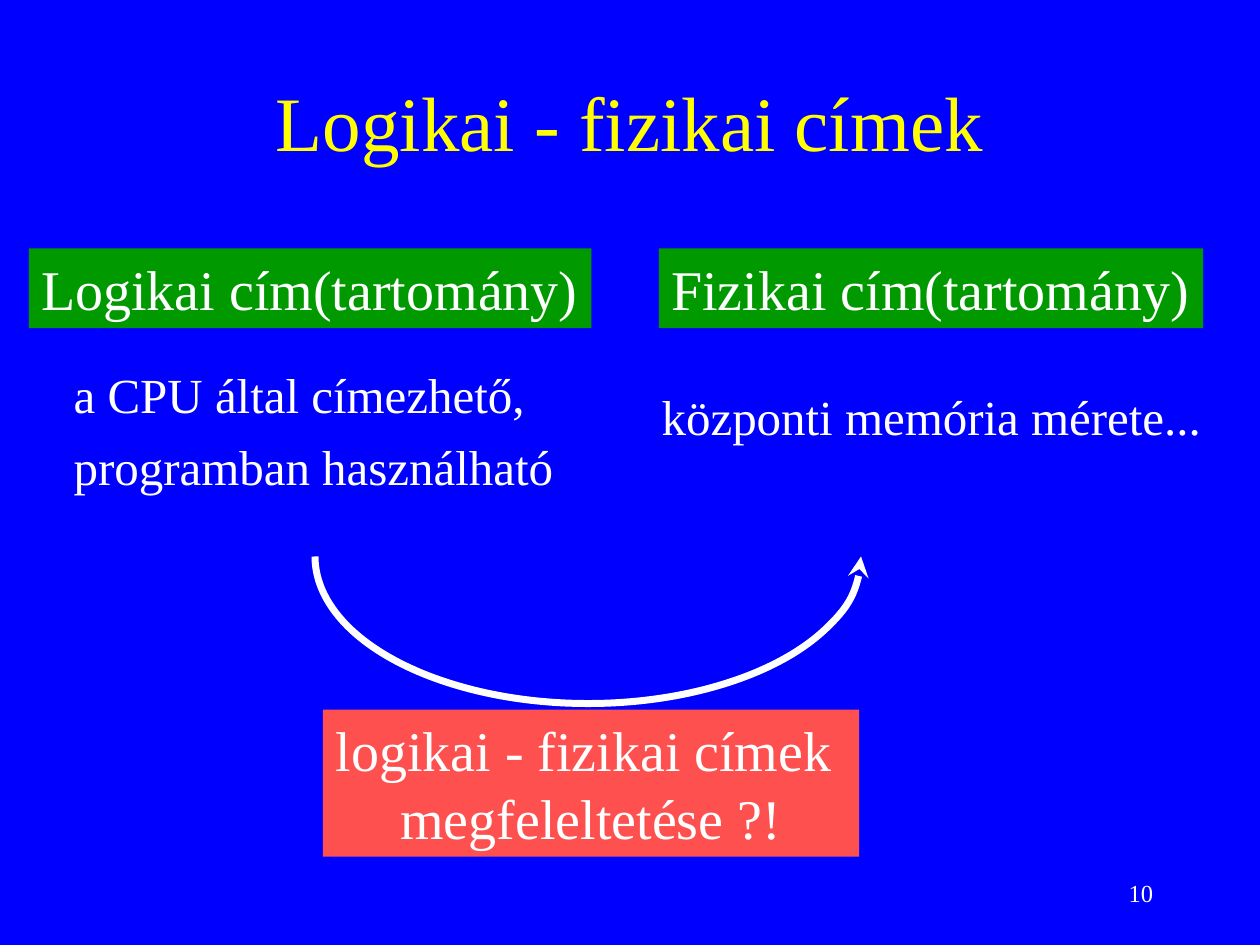
from dataclasses import dataclass

from lxml.etree import SubElement
from pptx import Presentation
from pptx.dml.color import RGBColor
from pptx.enum.shapes import MSO_SHAPE
from pptx.enum.text import MSO_ANCHOR, PP_ALIGN
from pptx.oxml.ns import qn
from pptx.util import Pt


@dataclass(frozen=True)
class Theme:
    font: str = "Times New Roman"
    background: RGBColor = RGBColor(0x00, 0x00, 0xFF)
    title: RGBColor = RGBColor(0xFF, 0xFF, 0x00)
    text: RGBColor = RGBColor(0xFF, 0xFF, 0xFF)
    heading_fill: RGBColor = RGBColor(0x00, 0x99, 0x00)
    question_fill: RGBColor = RGBColor(0xFF, 0x50, 0x50)
    title_size: int = 44
    heading_size: int = 32
    body_size: int = 28
    number_size: int = 14


theme = Theme()


def write_text(box, text, size, color=theme.text, align=PP_ALIGN.LEFT,
               anchor=MSO_ANCHOR.TOP, gap=0, wrap=False):
    """Fill a box with one paragraph per line; gap is the space between them."""
    frame = box.text_frame
    frame.text = text
    frame.word_wrap = wrap
    frame.vertical_anchor = anchor
    for index, para in enumerate(frame.paragraphs):
        para.alignment = align
        para.space_before = Pt(gap if index else 0)
        para.font.name = theme.font
        para.font.size = Pt(size)
        para.font.color.rgb = color


deck = Presentation()
deck.slide_width, deck.slide_height = Pt(720), Pt(540)
page = deck.slides.add_slide(deck.slide_layouts[5])
page.background.fill.solid()
page.background.fill.fore_color.rgb = theme.background

title = page.shapes.title
title.left, title.top, title.width, title.height = Pt(54), Pt(24), Pt(612), Pt(90)
write_text(title, "Logikai - fizikai címek", theme.title_size, theme.title,
           PP_ALIGN.CENTER, MSO_ANCHOR.MIDDLE, wrap=True)

panels = [
    ("Logikai cím(tartomány)", 16.5, 142, 321.5, 45.5, theme.heading_fill, PP_ALIGN.LEFT),
    ("Fizikai cím(tartomány)", 376.5, 142, 311, 45.5, theme.heading_fill, PP_ALIGN.LEFT),
    ("logikai - fizikai címek \nmegfeleltetése ?!", 184.5, 405.5, 306.5, 84,
     theme.question_fill, PP_ALIGN.CENTER),
]
for text, left, top, width, height, fill, align in panels:
    panel = page.shapes.add_shape(
        MSO_SHAPE.RECTANGLE, Pt(left), Pt(top), Pt(width), Pt(height))
    panel.shadow.inherit = False
    panel.fill.solid()
    panel.fill.fore_color.rgb = fill
    panel.line.fill.background()
    write_text(panel, text, theme.heading_size, align=align)

descriptions = [
    ("a CPU által címezhető,\nprogramban használható", 35, 205, 289, 81.5),
    ("központi memória mérete...", 371, 217.5, 322.5, 41),
]
for text, left, top, width, height in descriptions:
    description = page.shapes.add_textbox(Pt(left), Pt(top), Pt(width), Pt(height))
    write_text(description, text, theme.body_size, gap=7)

# Lower half of an ellipse, drawn clockwise from its right end to its left end
mapping = page.shapes.add_shape(MSO_SHAPE.ARC, Pt(180), Pt(234), Pt(312), Pt(168))
half_turn = 180 * 60000 / 100000  # angle units over the adjustment scale
mapping.adjustments[0] = 0
mapping.adjustments[1] = half_turn
mapping.shadow.inherit = False
mapping.fill.background()
mapping.line.color.rgb = theme.text
mapping.line.width = Pt(4)
SubElement(mapping.line._get_or_add_ln(), qn("a:headEnd"), type="stealth")

number = page.shapes.add_textbox(Pt(516), Pt(492), Pt(150), Pt(36))
write_text(number, "10", theme.number_size, align=PP_ALIGN.RIGHT,
           anchor=MSO_ANCHOR.MIDDLE, wrap=True)

deck.save("out.pptx")
